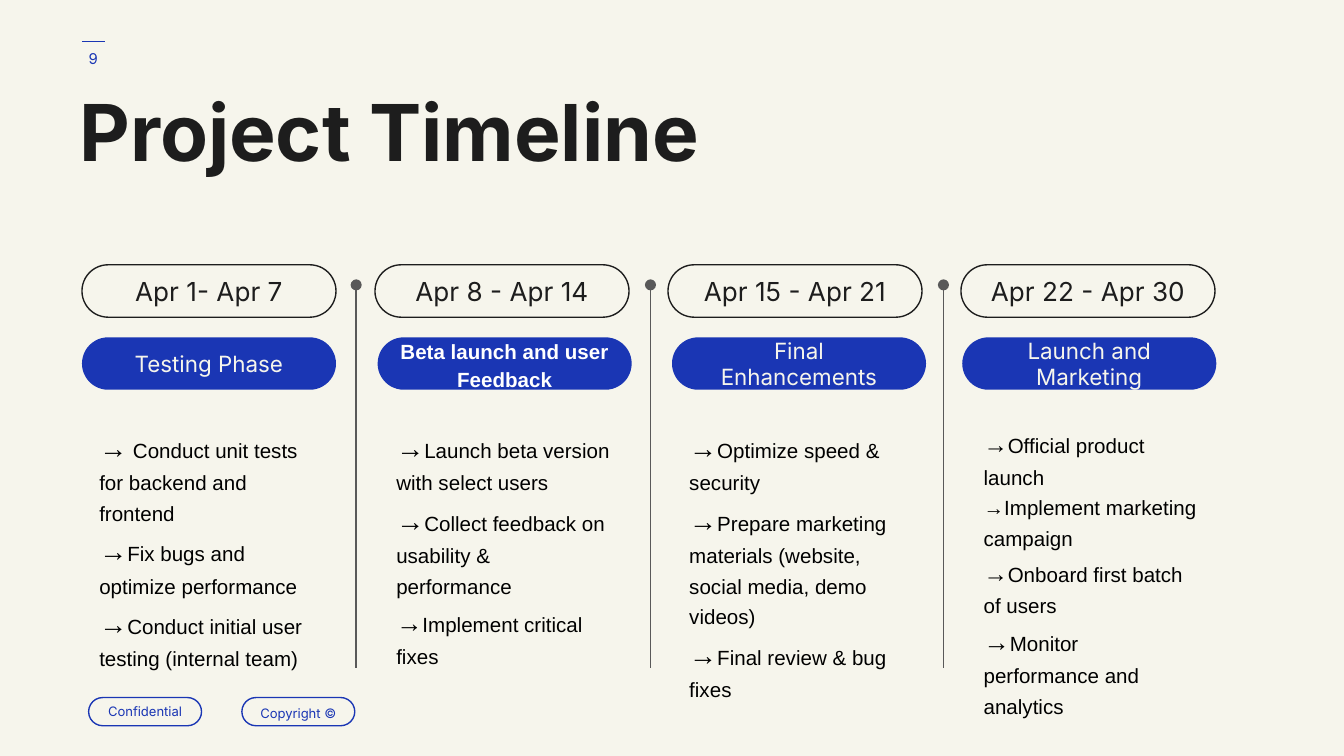
from dataclasses import dataclass

from lxml import etree
from pptx import Presentation
from pptx.dml.color import RGBColor
from pptx.enum.shapes import MSO_CONNECTOR, MSO_SHAPE
from pptx.enum.text import MSO_ANCHOR, MSO_AUTO_SIZE, PP_ALIGN
from pptx.oxml.ns import qn
from pptx.util import Inches, Pt

STRAIGHT = MSO_CONNECTOR.STRAIGHT
ROUNDED = MSO_SHAPE.ROUNDED_RECTANGLE
TOP, MIDDLE = MSO_ANCHOR.TOP, MSO_ANCHOR.MIDDLE
LEFT, CENTER = PP_ALIGN.LEFT, PP_ALIGN.CENTER
NO_AUTOFIT = MSO_AUTO_SIZE.NONE


@dataclass
class Theme:
    background: str = "F6F5EC"
    blue: str = "1A36B4"
    ink: str = "1D1D1D"
    black: str = "000000"
    white: str = "FFFFFF"
    gray: str = "595959"
    heading_font: str = "Inter"
    body_font: str = "Arial"
    title_size: int = 42
    date_size: int = 14
    phase_size: int = 12
    body_size: int = 11
    number_size: int = 8
    footer_size: int = 7
    line_width: float = 0.75


theme = Theme()


def write_text(shape, paragraphs, anchor=TOP, align=LEFT, spacing=1.0):
    text_frame = shape.text_frame
    text_frame.word_wrap = True
    text_frame.auto_size = NO_AUTOFIT
    text_frame.vertical_anchor = anchor
    text_frame.margin_left = text_frame.margin_right = Inches(0.1)
    text_frame.margin_top = text_frame.margin_bottom = Inches(0.1)
    for index, runs in enumerate(paragraphs):
        paragraph = text_frame.add_paragraph() if index else text_frame.paragraphs[0]
        paragraph.alignment = align
        paragraph.line_spacing = spacing
        for text, size, font, color, bold in runs:
            run = paragraph.add_run()
            run.text = text
            run.font.size = Pt(size)
            run.font.name = font
            run.font.bold = bold
            run.font.color.rgb = RGBColor.from_string(color)


def add_line(x1, y1, x2, y2, color):
    line = slide.shapes.add_connector(STRAIGHT, Inches(x1), Inches(y1), Inches(x2), Inches(y2))
    line.line.color.rgb = RGBColor.from_string(color)
    line.line.width = Pt(theme.line_width)
    etree.SubElement(line._element.spPr, qn("a:effectLst"))
    return line


presentation = Presentation()
presentation.slide_width = Inches(10)
presentation.slide_height = Inches(10 * 9 / 16)
slide = presentation.slides.add_slide(presentation.slide_layouts[5])
slide.background.fill.solid()
slide.background.fill.fore_color.rgb = RGBColor.from_string(theme.background)

title = slide.shapes.title
title.left, title.top, title.width, title.height = Inches(0.49), Inches(0.65), Inches(7.51), Inches(1.14)
write_text(title, [[("Project Timeline", theme.title_size, theme.heading_font, theme.ink, True)]], spacing=0.8)

add_line(0.61, 0.31, 0.78, 0.31, theme.blue)
page_number = slide.shapes.add_textbox(Inches(0.46), Inches(0.22), Inches(0.47), Inches(0.43))
write_text(page_number, [[("9", theme.number_size, theme.heading_font, theme.blue, False)]], MIDDLE, CENTER)

date_style = (theme.date_size, theme.heading_font, theme.ink, False)
phase_style = (theme.phase_size, theme.heading_font, theme.background, False)
beta_style = (theme.body_size, theme.body_font, theme.white, True)
footer_style = (theme.footer_size, theme.heading_font, theme.blue, False)

pills = [
    (0.66, 5.19, 0.84, 0.21, None, theme.blue, "Confidential", footer_style, 1.0),
    (1.8, 5.19, 0.84, 0.21, None, theme.blue, "Copyright ©", footer_style, 1.15),
]
dates = ["Apr 1- Apr 7", "Apr 8 - Apr 14", "Apr 15 - Apr 21", "Apr 22 - Apr 30"]
for column, date in enumerate(dates):
    pills.append((0.61 + 2.18 * column, 1.97, 1.89, 0.39, None, theme.ink, date, date_style, 1.0))

phases = [
    (0.61, "Testing Phase", phase_style, 1.0),
    (2.81, "Beta launch and user Feedback", beta_style, 1.15),
    (5.0, "Final Enhancements", phase_style, 1.0),
    (7.16, "Launch and Marketing", phase_style, 1.0),
]
for left, phase, style, spacing in phases:
    pills.append((left, 2.51, 1.89, 0.39, theme.blue, None, phase, style, spacing))

for left, top, width, height, fill, outline, text, style, spacing in pills:
    pill = slide.shapes.add_shape(ROUNDED, Inches(left), Inches(top), Inches(width), Inches(height))
    pill.adjustments[0] = 0.5
    pill.shadow.inherit = False
    if fill:
        pill.fill.solid()
        pill.fill.fore_color.rgb = RGBColor.from_string(fill)
    else:
        pill.fill.background()
    if outline:
        pill.line.color.rgb = RGBColor.from_string(outline)
        pill.line.width = Pt(theme.line_width)
    else:
        pill.line.fill.background()
    write_text(pill, [[(text, *style)]], MIDDLE, CENTER, spacing)

task_lists = [
    (0.64, 1.88, [
        (15, True, " Conduct unit tests for backend and frontend"),
        (15, True, "Fix bugs and optimize performance"),
        (15, True, "Conduct initial user testing (internal team)"),
    ]),
    (2.85, 2.25, [
        (15, True, "Launch beta version with select users"),
        (15, True, "Collect feedback on usability & performance"),
        (14, True, "Implement critical fixes"),
    ]),
    (5.03, 2.19, [
        (15, True, "Optimize speed & security"),
        (15, True, "Prepare marketing materials (website, social media, demo videos)"),
        (15, True, "Final review & bug fixes"),
    ]),
    (7.22, 2.31, [
        (13, True, "Official product launch"),
        (11, False, "Implement marketing campaign"),
        (13, True, "Onboard first batch of users"),
        (14, False, "Monitor performance and analytics"),
    ]),
]
for left, height, tasks in task_lists:
    task_box = slide.shapes.add_textbox(Inches(left), Inches(3.04), Inches(1.79), Inches(height))
    paragraphs = [
        [
            ("→", arrow_size, theme.body_font, theme.black, arrow_bold),
            (task, theme.body_size, theme.body_font, theme.black, False),
        ]
        for arrow_size, arrow_bold, task in tasks
    ]
    write_text(task_box, paragraphs, spacing=1.25)

for x in (2.65, 4.84, 7.02):
    divider = add_line(x, 2.12, x, 4.97, theme.gray)
    etree.SubElement(divider.line._get_or_add_ln(), qn("a:headEnd"), type="oval")

presentation.save("out.pptx")
